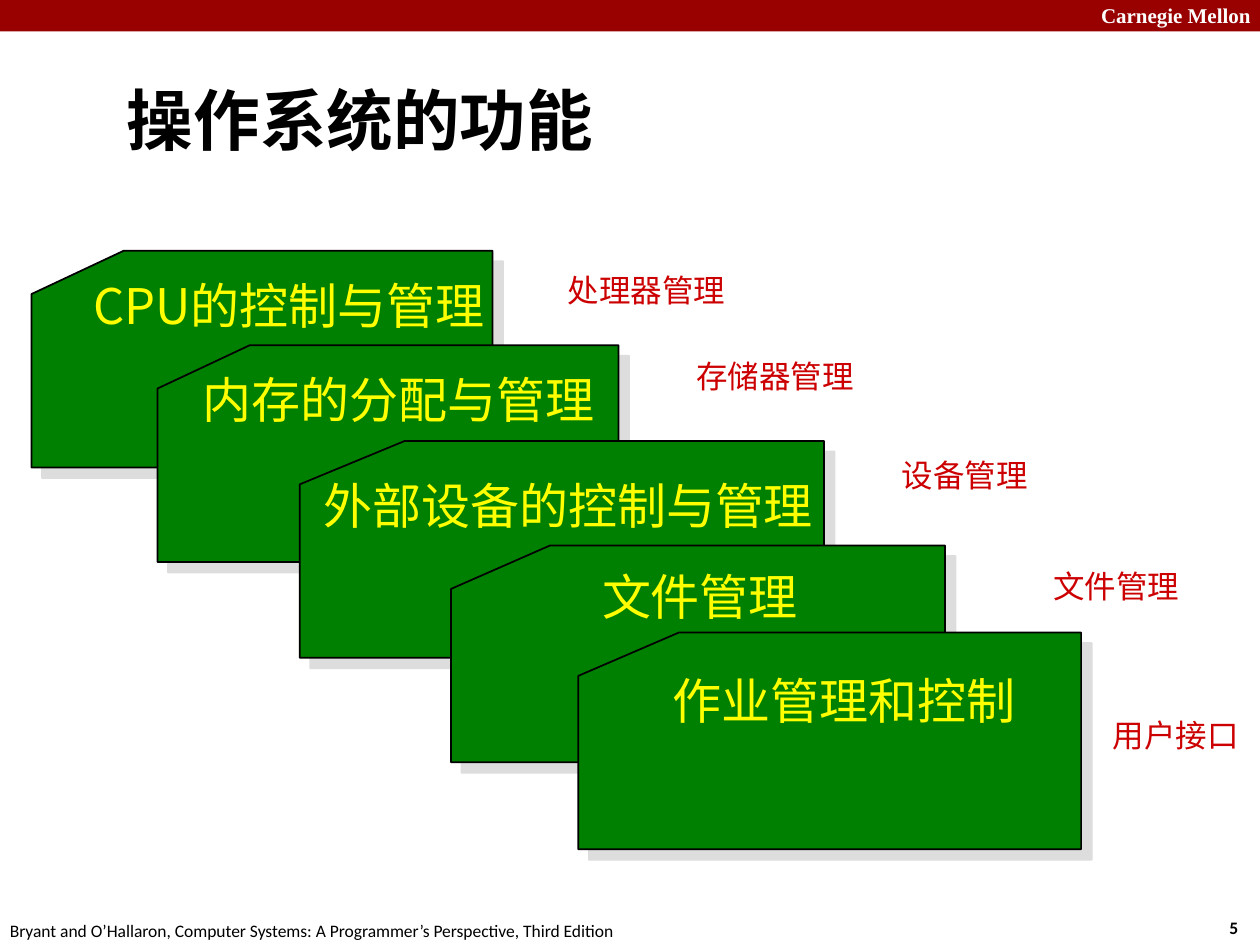
import lxml.etree
import pptx
import pptx.dml.color
import pptx.enum.shapes
import pptx.enum.text
import pptx.oxml.ns
import pptx.util

Inches = pptx.util.Inches
Pt = pptx.util.Pt
RGBColor = pptx.dml.color.RGBColor
qn = pptx.oxml.ns.qn
MSO_SHAPE = pptx.enum.shapes.MSO_SHAPE
PP_ALIGN = pptx.enum.text.PP_ALIGN

BLACK = RGBColor(0x00, 0x00, 0x00)
WHITE = RGBColor(0xFF, 0xFF, 0xFF)
MAROON = RGBColor(0x99, 0x00, 0x00)
GREEN = RGBColor(0x00, 0x80, 0x00)
YELLOW = RGBColor(0xFF, 0xFF, 0x00)
RED = RGBColor(0xCC, 0x00, 0x00)
SHADOW = RGBColor(0xDD, 0xDD, 0xDD)

CJK = "Noto Sans CJK SC"
CARD_HEIGHT = 1.72

# Each card: left, top, width; caption text, offset and size, line spacing
CARDS = [
    (0.25, 1.99, 3.66, "CPU的控制与管理", 0.39, 0.15, 3.44, 0.57, None),
    (1.25, 2.74, 3.66, "内存的分配与管理", 0.26, 0.14, 3.33, 0.57, None),
    (2.38, 3.5, 4.16, "外部设备的控制与管理", 0.09, 0.18, 4.11, 0.61, 1.1),
    (3.58, 4.33, 3.92, "文件管理", 1.1, 0.07, 1.76, 0.61, 1.1),
    (4.59, 5.02, 3.99, "作业管理和控制", 0.65, 0.25, 2.94, 0.57, None),
]
LABELS = [
    ("处理器管理", 4.43, 2.11, 1.4, 0.37),
    ("存储器管理", 5.45, 2.79, 1.4, 0.37),
    ("设备管理", 7.08, 3.58, 1.15, 0.37),
    ("用户接口", 8.74, 5.64, 1.18, 0.39),
    ("文件管理", 8.27, 4.46, 1.18, 0.39),
]


def add_text(shapes, box, text, size, color, font=CJK, bold=False, inset=(0.1, 0.05)):
    """Add a one-line text box and return its paragraph."""
    tf = shapes.add_textbox(*map(Inches, box)).text_frame
    tf.word_wrap = False
    tf.margin_left = tf.margin_right = Inches(inset[0])
    tf.margin_top = tf.margin_bottom = Inches(inset[1])
    p = tf.paragraphs[0]
    p.text = text
    p.font.size = Pt(size)
    p.font.bold = bold
    p.font.name = font
    p.font.color.rgb = color
    props = p._p.pPr.find(qn("a:defRPr"))
    lxml.etree.SubElement(props, qn("a:ea"), typeface=font)
    return p


def add_shadow(shape):
    """Give a shape a hard diagonal shadow."""
    shape.shadow.inherit = False
    effects = shape._element.spPr.find(qn("a:effectLst"))
    outer = lxml.etree.SubElement(effects, qn("a:outerShdw"), dist=str(Pt(8.5)),
                                  dir="2700000", algn="ctr", rotWithShape="0")
    lxml.etree.SubElement(outer, qn("a:srgbClr"), val=str(SHADOW))


def add_header(s, left, top, width, height):
    """Add the top band with the university name."""
    band = s.shapes.add_shape(MSO_SHAPE.RECTANGLE, *map(Inches, (left, top, width, height)))
    band.shadow.inherit = False
    band.fill.solid()
    band.fill.fore_color.rgb = MAROON
    band.line.fill.background()
    add_text(s.shapes, (left + width - 1.36, top - 0.03, 1.43, 0.3),
             "Carnegie Mellon", 12, WHITE, "Times New Roman", True)


def add_footer(s, left, top):
    """Add the book citation and the page number."""
    add_text(s.shapes, (left + 9.66, top, 0.37, 0.27), "5", 10, BLACK, "Calibri", True)
    add_text(s.shapes, (left - 0.02, top + 0.02, 5.08, 0.27),
             "Bryant and O’Hallaron, Computer Systems: A Programmer’s Perspective, Third Edition",
             10, BLACK, "Calibri")


def add_card(shapes, left, top, width, text, dx, dy, text_width, text_height, spacing):
    """Add a punched card with its caption."""
    card = shapes.add_shape(MSO_SHAPE.FLOWCHART_CARD,
                            *map(Inches, (left, top, width, CARD_HEIGHT)))
    add_shadow(card)
    card.fill.solid()
    card.fill.fore_color.rgb = GREEN
    card.line.color.rgb = BLACK
    card.line.width = Pt(1)
    p = add_text(shapes, (left + dx, top + dy, text_width, text_height), text, 28, YELLOW)
    if spacing:
        p.line_spacing = spacing


def add_label(s, text, left, top, width, height):
    """Add a red label beside a card."""
    p = add_text(s.shapes, (left, top, width, height), text, 18, RED, inset=(0.07, 0.04))
    p.alignment = PP_ALIGN.CENTER


def main():
    """Build and save the slide."""
    prs = pptx.Presentation()
    prs.slide_width, prs.slide_height = Inches(10), Inches(7.5)
    s = prs.slides.add_slide(prs.slide_layouts[6])
    add_header(s, 0, 0, 10, 0.25)
    add_footer(s, 0, 7.23)
    add_text(s.shapes, (0.91, 0.58, 4.24, 0.77), "操作系统的功能", 38, BLACK, bold=True)
    group = s.shapes.add_group_shape()
    for card in CARDS:
        add_card(group.shapes, *card)
    for label in LABELS:
        add_label(s, *label)
    prs.save("out.pptx")


if __name__ == "__main__":
    main()
